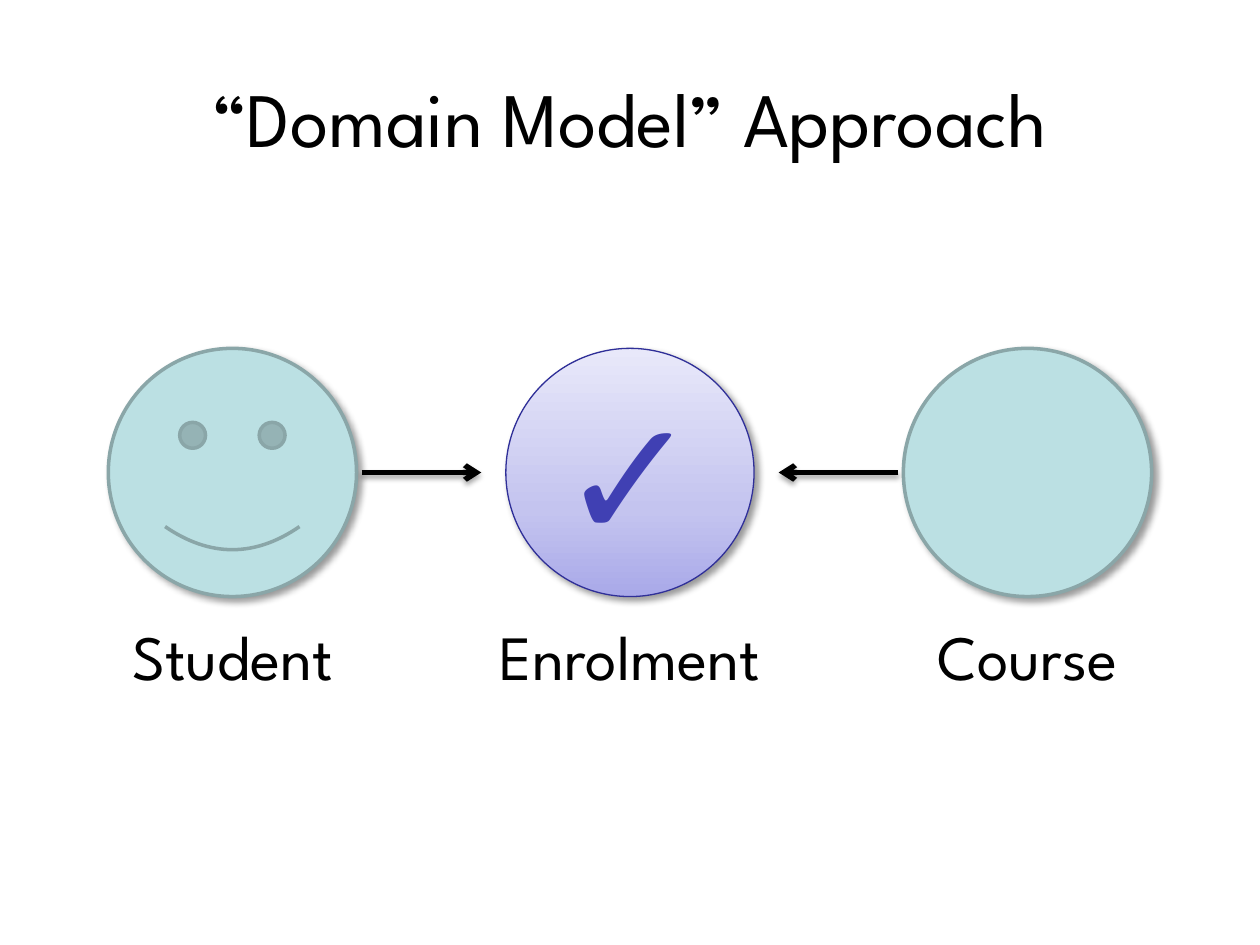
from dataclasses import dataclass
from typing import Optional

from pptx import Presentation, util as u
from pptx.dml.color import RGBColor
from pptx.enum import shapes, text
from pptx.oxml import parse_xml
from pptx.oxml.ns import nsdecls

WIDE, HIGH = 10, 7.5
PITCH = 3.155
DISC = 1.97
AXIS = HIGH / 2


@dataclass(frozen=True)
class Theme:
    font: str = "League Spartan"
    ink: str = "000000"
    pale: str = "BBE0E3"
    rim: str = "8AA6A8"
    edge: str = "2F2F98"
    tick: str = "4040B3"
    fade: tuple = ((0, "A9A9E9"), (35, "C4C4EF"), (100, "E8E8FA"))
    title: int = 44
    label: int = 36
    mark: int = 96


@dataclass(frozen=True)
class Shade:
    alpha: int
    blur: float
    dist: float
    angle: int


@dataclass(frozen=True)
class Node:
    col: int
    name: str
    kind: shapes.MSO_SHAPE = shapes.MSO_SHAPE.OVAL
    mark: Optional[str] = None


THEME = Theme()
SOFT = Shade(40, 4, 3, 45)
DROP = Shade(35, 3.1, 1.8, 90)
NODES = (
    Node(-1, "Student", shapes.MSO_SHAPE.SMILEY_FACE),
    Node(0, "Enrolment", mark="✓"),
    Node(1, "Course"),
)


def hue(code: str) -> RGBColor:
    return RGBColor.from_string(code)


def center(col: int) -> float:
    return WIDE / 2 + col * PITCH


def write(frame, words: str, size: int, color: str, bold: bool = False) -> None:
    para = frame.paragraphs[0]
    para.alignment = text.PP_ALIGN.CENTER
    run = para.add_run()
    run.text = words
    font = run.font
    font.name, font.size, font.bold = THEME.font, u.Pt(size), bold
    font.color.rgb = hue(color)


def cast(item, shade: Shade) -> None:
    item.element.spPr.append(parse_xml(
        f'<a:effectLst {nsdecls("a")}><a:outerShdw blurRad="{u.Pt(shade.blur)}" '
        f'dist="{u.Pt(shade.dist)}" dir="{shade.angle * 60000}" rotWithShape="0">'
        f'<a:srgbClr val="{THEME.ink}"><a:alpha val="{shade.alpha * 1000}"/>'
        '</a:srgbClr></a:outerShdw></a:effectLst>'))


def blend(item) -> None:
    stops = "".join(
        f'<a:gs pos="{pos * 1000}"><a:srgbClr val="{code}"/></a:gs>'
        for pos, code in THEME.fade)
    item.element.spPr.append(parse_xml(
        f'<a:gradFill {nsdecls("a")} rotWithShape="1"><a:gsLst>{stops}</a:gsLst>'
        '<a:lin ang="16200000" scaled="0"/></a:gradFill>'))


def stroke(item, color: str, width: float) -> None:
    item.line.color.rgb = hue(color)
    item.line.width = u.Pt(width)


def disc(slide, node: Node) -> None:
    item = slide.shapes.add_shape(
        node.kind, u.Inches(center(node.col) - DISC / 2),
        u.Inches(AXIS - DISC / 2), u.Inches(DISC), u.Inches(DISC))
    if node.mark:
        blend(item)
        stroke(item, THEME.edge, 0.75)
        item.text_frame.vertical_anchor = text.MSO_ANCHOR.MIDDLE
        write(item.text_frame, node.mark, THEME.mark, THEME.tick, True)
    else:
        item.fill.solid()
        item.fill.fore_color.rgb = hue(THEME.pale)
        stroke(item, THEME.rim, 2)
    cast(item, SOFT)


def label(slide, node: Node) -> None:
    wide = 2.83
    box = slide.shapes.add_textbox(
        u.Inches(center(node.col) - wide / 2), u.Inches(4.85),
        u.Inches(wide), u.Inches(0.71))
    frame = box.text_frame
    frame.word_wrap = True
    frame.auto_size = text.MSO_AUTO_SIZE.SHAPE_TO_FIT_TEXT
    write(frame, node.name, THEME.label, THEME.ink)


def arrow(slide, side: int) -> None:
    start, end = (u.Inches(WIDE / 2 + side * gap) for gap in (2.13, 1.18))
    line = slide.shapes.add_connector(
        shapes.MSO_CONNECTOR.STRAIGHT, start, u.Inches(AXIS), end, u.Inches(AXIS))
    stroke(line, THEME.ink, 3)
    line.line._get_or_add_ln().append(
        parse_xml(f'<a:tailEnd {nsdecls("a")} type="arrow"/>'))
    cast(line, DROP)


def main() -> None:
    deck = Presentation()
    deck.slide_width, deck.slide_height = u.Inches(WIDE), u.Inches(HIGH)
    slide = deck.slides.add_slide(deck.slide_layouts[5])
    title = slide.shapes.title
    title.left, title.top = u.Inches(WIDE * 0.05), u.Inches(HIGH * 0.04)
    title.width, title.height = u.Inches(WIDE * 0.9), u.Inches(1.25)
    title.text_frame.vertical_anchor = text.MSO_ANCHOR.MIDDLE
    write(title.text_frame, "“Domain Model” Approach", THEME.title, THEME.ink)
    for node in NODES:
        disc(slide, node)
        label(slide, node)
    for side in (-1, 1):
        arrow(slide, side)
    deck.save("out.pptx")


if __name__ == "__main__":
    main()
